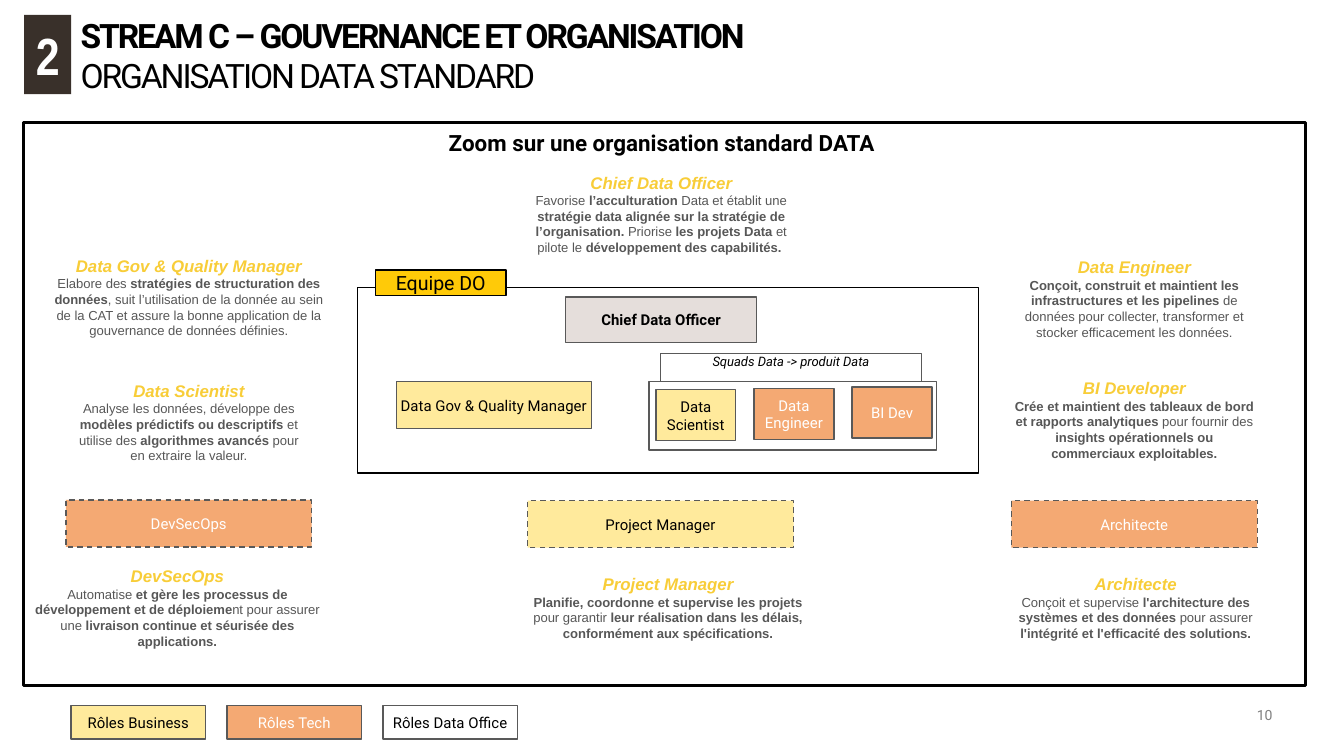
from pptx import Presentation
from pptx.dml.color import RGBColor
from pptx.enum.dml import MSO_LINE
from pptx.enum.shapes import MSO_SHAPE
from pptx.enum.text import MSO_ANCHOR, MSO_AUTO_SIZE, PP_ALIGN
from pptx.util import Inches, Pt

COLORS = {
    "black": "000000", "white": "FFFFFF", "grey": "808080", "outline": "595959",
    "body": "575757", "heading": "F8CD38", "badge": "39302A", "label": "FFCA08",
    "business": "FFEA9C", "tech": "F4A973", "chief": "E5DEDB",
}
COLUMNS = 100
ROWS = COLUMNS * 9 / 16


def rgb(name):
    return RGBColor.from_string(COLORS[name])


def write(frame, text, size=8, font="Roboto", color="black", bold=False,
          italic=False, align=PP_ALIGN.CENTER, spacing=None):
    paragraph = frame.add_paragraph() if frame.text else frame.paragraphs[0]
    paragraph.alignment = align
    for index, part in enumerate(text.split("**")):
        if not part:
            continue
        run = paragraph.add_run()
        run.text = part
        run.font.size = Pt(size)
        run.font.name = font
        run.font.bold = bold or index % 2 == 1
        run.font.italic = italic
        run.font.color.rgb = rgb(color)
        if spacing:
            run.font._element.set("spc", str(round(spacing * 100)))


class Board:
    def __init__(self, presentation):
        self.slide = presentation.slides.add_slide(presentation.slide_layouts[5])
        self.column = presentation.slide_width / COLUMNS
        self.row = presentation.slide_height / ROWS

    def place(self, x, y, w, h):
        return (round(x * self.column), round(y * self.row),
                round(w * self.column), round(h * self.row))

    def prepare(self, frame, anchor, side=0, edge=0):
        frame.word_wrap = True
        frame.auto_size = MSO_AUTO_SIZE.NONE
        frame.vertical_anchor = anchor
        frame.margin_left = frame.margin_right = round(side * self.column)
        frame.margin_top = frame.margin_bottom = round(edge * self.row)
        return frame

    def title(self, area, heading, subtitle):
        holder = self.slide.shapes.title
        holder.left, holder.top, holder.width, holder.height = self.place(*area)
        frame = self.prepare(holder.text_frame, MSO_ANCHOR.TOP)
        for text, bold in ((heading, True), (subtitle, False)):
            write(frame, text, size=18, bold=bold, align=PP_ALIGN.LEFT, spacing=-1.13)

    def page_number(self, area, number):
        box = self.slide.shapes.add_textbox(*self.place(*area))
        frame = self.prepare(box.text_frame, MSO_ANCHOR.BOTTOM)
        write(frame, number, size=7.5, color="grey", align=PP_ALIGN.RIGHT)

    def box(self, area, text="", fill=None, line="outline", weight=0.75,
            dashed=False, anchor=MSO_ANCHOR.MIDDLE, edge=0.5, **style):
        shape = self.slide.shapes.add_shape(MSO_SHAPE.RECTANGLE, *self.place(*area))
        shape.shadow.inherit = False
        if fill:
            shape.fill.solid()
            shape.fill.fore_color.rgb = rgb(fill)
        else:
            shape.fill.background()
        if line:
            shape.line.color.rgb = rgb(line)
            shape.line.width = Pt(weight)
        else:
            shape.line.fill.background()
        if dashed:
            shape.line.dash_style = MSO_LINE.DASH
        frame = self.prepare(shape.text_frame, anchor, edge=edge)
        if text:
            write(frame, text, **style)

    def role(self, area, text, kind, **look):
        self.box(area, text, fill=kind,
                 color="white" if kind == "tech" else "black", **look)

    def description(self, area, role, text, side=1):
        box = self.slide.shapes.add_textbox(*self.place(*area))
        frame = self.prepare(box.text_frame, MSO_ANCHOR.MIDDLE, side, 0.5)
        write(frame, role, size=9, font="Arial", color="heading", bold=True, italic=True)
        write(frame, text, size=7, font="Arial", color="body")


def main():
    presentation = Presentation()
    presentation.slide_width = Inches(10)
    presentation.slide_height = presentation.slide_width * 9 // 16
    board = Board(presentation)

    board.title((6, 1.1, 82.5, 6.1), "STREAM C – GOUVERNANCE ET ORGANISATION",
                "ORGANISATION DATA STANDARD")
    board.box((1.8, 1.1, 3.5, 5.9), "2", fill="badge", line=None, size=28,
              font="Arial Narrow", color="white", bold=True, edge=0)
    board.page_number((91.6, 52.5, 3.1, 1.3), "10")

    board.box((1.75, 9.1, 95.4, 41.9), "Zoom sur une organisation standard DATA ",
              fill="white", line="black", weight=1.5, anchor=MSO_ANCHOR.TOP,
              size=12, bold=True)
    board.box((49.15, 26.3, 19.4, 3.8), "Squads Data -> produit Data", fill="white",
              anchor=MSO_ANCHOR.TOP, edge=0, size=7, italic=True)
    board.box((48.3, 28.4, 21.4, 5.1), fill="white")
    board.box((26.6, 21.4, 46.2, 13.8), line="black")
    board.box((27.95, 20.1, 9.7, 1.9), "Equipe DO", fill="label", line="black", size=10.5)

    board.role((42.1, 22.1, 14.2, 3.4), "Chief Data Officer", "chief", bold=True)
    board.role((29.5, 28.4, 14.5, 3.5), "Data Gov & Quality Manager", "business")
    squad = (
        (48.8, 29, "Data Scientist", "business"),
        (56.1, 28.9, "Data Engineer", "tech"),
        (63.4, 28.8, "BI Dev", "tech"),
    )
    for x, y, text, kind in squad:
        board.role((x, y, 5.95, 3.8), text, kind)

    support = (
        (4.9, 37.2, 18.3, "DevSecOps", "tech"),
        (39.25, 37.25, 19.8, "Project Manager", "business"),
        (75.25, 37.25, 18.3, "Architecte", "tech"),
    )
    for x, y, width, text, kind in support:
        board.role((x, y, width, 3.5), text, kind, dashed=True)

    legend = (("Rôles Business", "business"), ("Rôles Tech", "tech"),
              ("Rôles Data Office", None))
    for index, (text, kind) in enumerate(legend):
        board.role((5.3 + 11.6 * index, 52.5, 10, 2.5), text, kind)

    board.description(
        (37.6, 12.2, 23.2, 7.4), "Chief Data Officer",
        "Favorise **l’acculturation** Data et établit une **stratégie data alignée sur "
        "la stratégie de l’organisation. **Priorise **les projets Data **et pilote le "
        "**développement des capabilités. **")
    board.description(
        (3.4, 17.6, 21.3, 9), "Data Gov & Quality Manager",
        "Elabore des **stratégies de structuration des données**, suit l’utilisation de "
        "la donnée au sein de la CAT et assure la bonne application de la gouvernance "
        "de données définies.", side=0)
    board.description(
        (74.4, 17.5, 20, 9.4), "Data Engineer",
        "**Conçoit, construit et maintient les infrastructures et les pipelines** de "
        "données pour collecter, transformer et stocker efficacement les données.")
    board.description(
        (4.3, 26.9, 19.5, 9), "Data Scientist",
        "Analyse les données, développe des **modèles prédictifs ou descriptifs **et "
        "utilise des **algorithmes avancés **pour en extraire la valeur.")
    board.description(
        (74.4, 26.5, 20, 9.4), "BI Developer",
        "**Crée et maintient des tableaux de bord et rapports analytiques **pour fournir "
        "des **insights opérationnels ou commerciaux exploitables.**")

    support_descriptions = (
        (1.6, "DevSecOps",
         "Automatise **et gère les processus de développement et de déploieme**nt pour "
         "assurer une **livraison continue et séurisée des applications.**"),
        (38.1, "Project Manager",
         "**Planifie, coordonne et supervise les projets **pour garantir **leur "
         "réalisation dans les délais, conformément aux spécifications.**"),
        (72.9, "Architecte",
         "Conçoit et supervise **l'architecture des systèmes et des données **pour "
         "assurer **l'intégrité et l'efficacité des solutions.**"),
    )
    for x, role, text in support_descriptions:
        board.description((x, 41.5, 23.2, 7.4), role, text)

    presentation.save("out.pptx")


if __name__ == "__main__":
    main()
